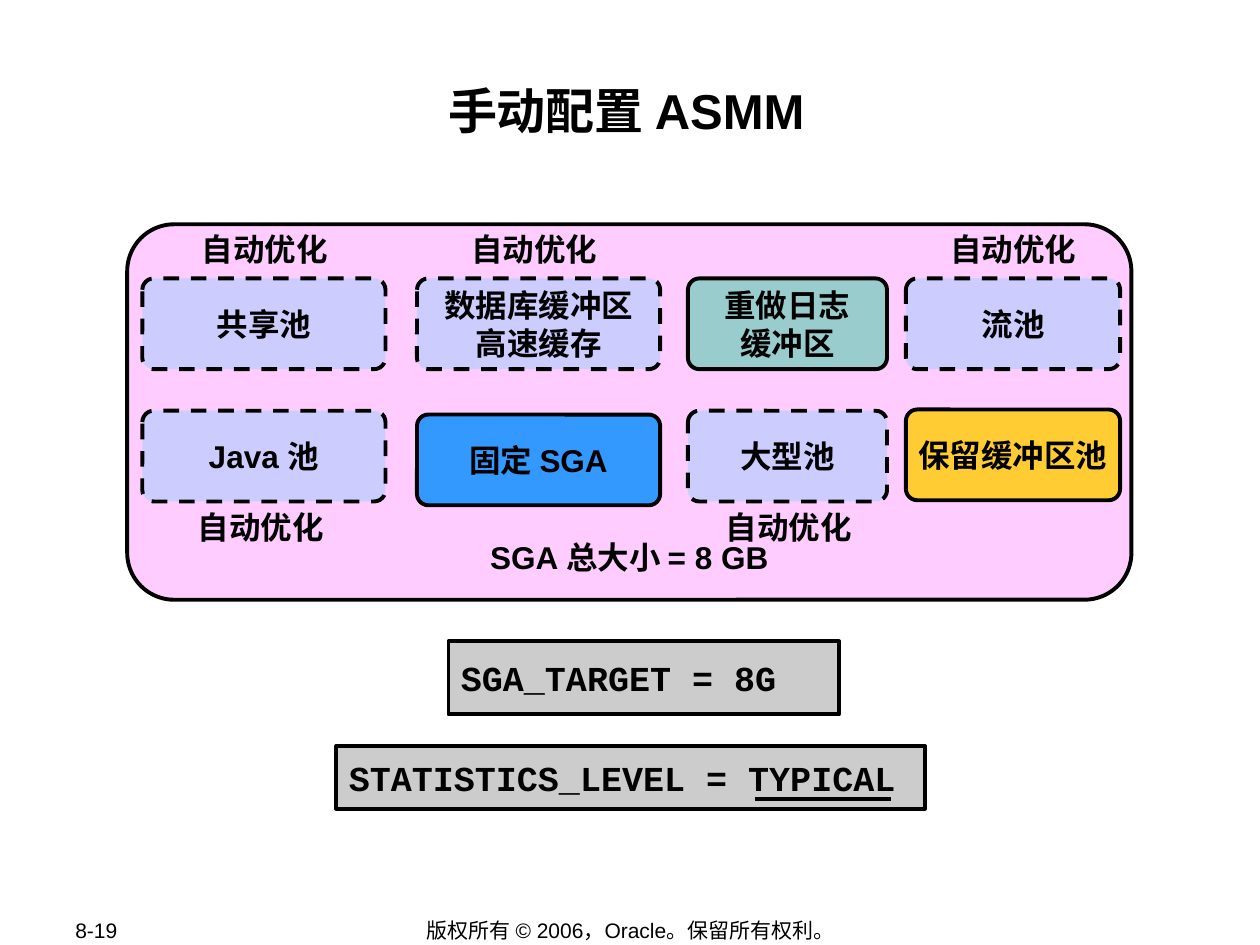
from dataclasses import dataclass

from lxml.etree import SubElement
from pptx import Presentation
from pptx.dml.color import RGBColor
from pptx.enum.dml import MSO_LINE
from pptx.enum.shapes import MSO_CONNECTOR, MSO_SHAPE
from pptx.enum.text import MSO_ANCHOR, PP_ALIGN
from pptx.oxml.ns import qn
from pptx.slide import Slide
from pptx.util import Inches, Pt


def color(value):
    return RGBColor.from_string(value)


@dataclass
class Page:
    """Style and drawing methods for the current slide."""

    slide: Slide
    ink: str = "000000"
    latin: str = "Arial"
    chinese: str = "Noto Sans CJK SC"
    code_font: str = "Courier New"
    line_width: float = 2.25

    def set_text(self, shape, text, size=18, font=None, bold=True, align=PP_ALIGN.CENTER,
                 anchor=MSO_ANCHOR.MIDDLE, wrap=False, spacing=1.0):
        frame = shape.text_frame
        frame.text = text
        frame.word_wrap = wrap
        frame.vertical_anchor = anchor
        for para in frame.paragraphs:
            para.alignment = align
            para.line_spacing = spacing
            for span in para.runs:
                span.font.size = Pt(size)
                span.font.bold = bold
                span.font.color.rgb = color(self.ink)
                span.font.name = font or self.latin
                SubElement(span.font._element, qn("a:ea"), typeface=self.chinese)
        return frame

    def text(self, left, top, width, height, text, **style):
        box = self.slide.shapes.add_textbox(
            Inches(left), Inches(top), Inches(width), Inches(height))
        return self.set_text(box, text, **style)

    def label(self, left, top):
        self.text(left, top, 1.2, 0.4, "自动优化", font=self.chinese, anchor=MSO_ANCHOR.TOP)

    def block(self, left, top, width, height, fill, text, kind=MSO_SHAPE.ROUNDED_RECTANGLE,
              dashed=False, **style):
        box = self.slide.shapes.add_shape(
            kind, Inches(left), Inches(top), Inches(width), Inches(height))
        if kind == MSO_SHAPE.ROUNDED_RECTANGLE:
            box.adjustments[0] = 0.125
        box.shadow.inherit = False
        box.fill.solid()
        box.fill.fore_color.rgb = color(fill)
        box.line.color.rgb = color(self.ink)
        box.line.width = Pt(self.line_width)
        if dashed:
            box.line.dash_style = MSO_LINE.DASH
        return self.set_text(box, text, **style)

    def parameter(self, left, top, width, height, text):
        frame = self.block(left, top, width, height, "CCCCCC", text, kind=MSO_SHAPE.RECTANGLE,
                           size=20, font=self.code_font, align=PP_ALIGN.LEFT, wrap=True)
        frame.margin_top = frame.margin_bottom = Inches(0.01)

    def underline(self, left, right, top):
        rule = self.slide.shapes.add_connector(
            MSO_CONNECTOR.STRAIGHT, Inches(left), Inches(top), Inches(right), Inches(top))
        rule.line.color.rgb = color(self.ink)
        rule.line.width = Pt(self.line_width)
        SubElement(rule._element.spPr, qn("a:effectLst"))


def main():
    deck = Presentation()
    deck.slide_width, deck.slide_height = Inches(10), Inches(7.5)
    page = Page(deck.slides.add_slide(deck.slide_layouts[6]))

    page.text(0.5, 7.28, 1.06, 0.2, "8-19", size=12, bold=False, align=PP_ALIGN.LEFT, wrap=True)
    page.text(2.76, 7.28, 4.49, 0.21, "版权所有 © 2006，Oracle。保留所有权利。",
              size=12, bold=False, wrap=True)
    title = page.text(0.97, 0.58, 8, 0.96, "手动配置 ASMM", size=28,
                      anchor=MSO_ANCHOR.TOP, wrap=True, spacing=1.1)
    title.margin_top = title.margin_bottom = Inches(0.01)

    total = page.block(1.01, 1.78, 7.97, 2.98, "FFCCFF", "SGA 总大小 = 8 GB",
                       anchor=MSO_ANCHOR.BOTTOM, spacing=0.85)
    total.margin_bottom = Inches(0.08)

    columns = [(1.13, 1.93), (3.31, 1.93), (5.46, 1.58), (7.19, 1.7)]
    tuned = "CCCCFF"
    pools = [
        (0, 2.21, tuned, "共享池", page.chinese),
        (1, 2.21, tuned, "数据库缓冲区\v高速缓存", page.chinese),
        (2, 2.21, "99CCCC", "重做日志\v缓冲区", page.chinese),
        (3, 2.21, tuned, "流池", page.chinese),
        (0, 3.26, tuned, "Java 池", page.latin),
        (1, 3.29, "3399FF", "固定 SGA", page.latin),
        (2, 3.26, tuned, "大型池", page.chinese),
        (3, 3.25, "FFCC33", "保留缓冲区池", page.chinese),
    ]
    for column, top, fill, name, font in pools:
        left, width = columns[column]
        page.block(left, top, width, 0.72, fill, name, dashed=fill == tuned, font=font)

    for left, top in [(1.5, 1.78), (3.64, 1.78), (7.44, 1.78), (1.47, 3.98), (5.66, 3.98)]:
        page.label(left, top)

    page.parameter(3.56, 5.09, 3.1, 0.58, "SGA_TARGET = 8G")
    page.parameter(2.67, 5.92, 4.67, 0.5, "STATISTICS_LEVEL = TYPICAL")
    page.underline(5.99, 7.07, 6.34)

    deck.save("out.pptx")


if __name__ == "__main__":
    main()
